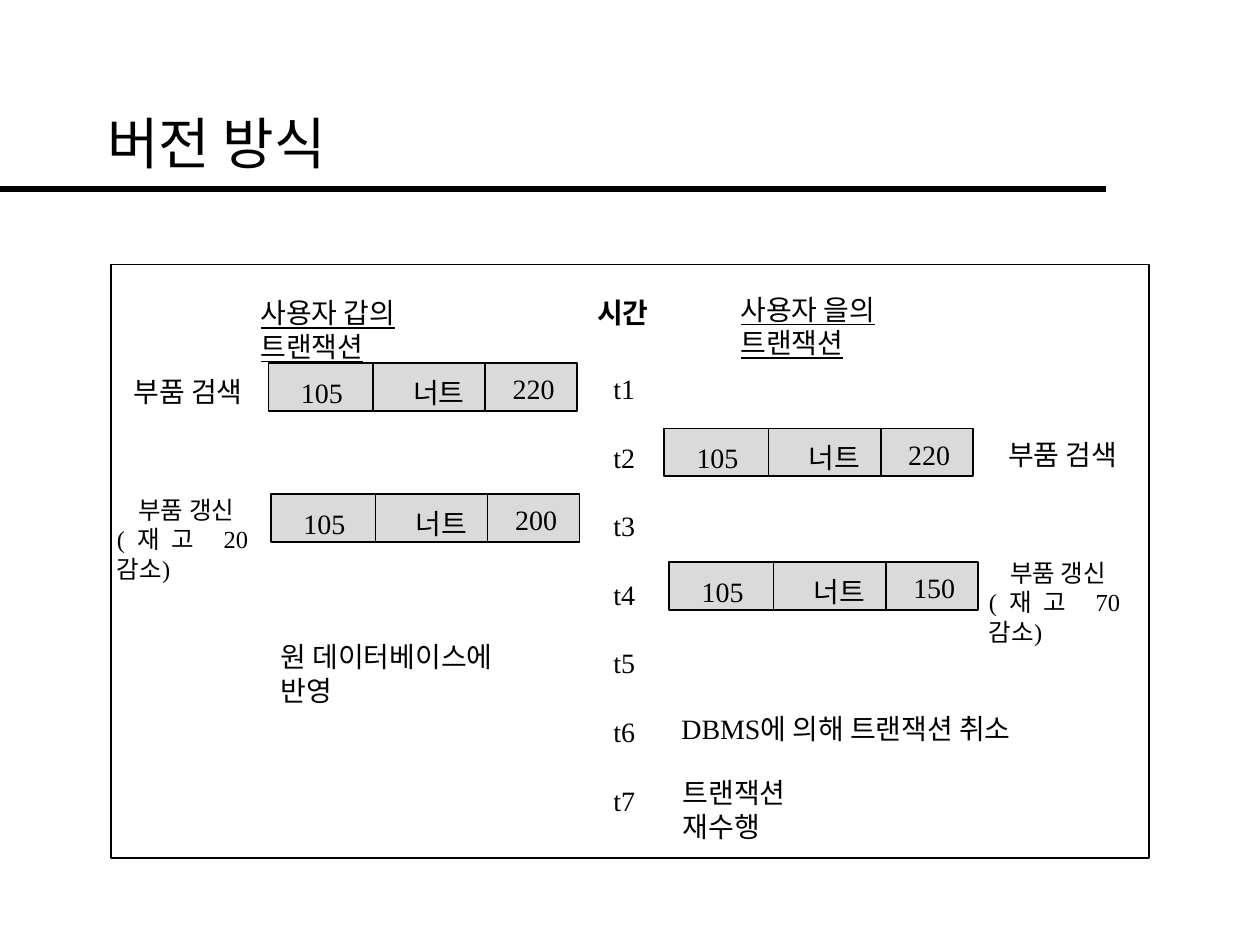
"""Build the slide on version-based concurrency control."""
from dataclasses import dataclass

from lxml.etree import SubElement
from pptx import Presentation
from pptx.dml.color import RGBColor
from pptx.enum.shapes import MSO_CONNECTOR, MSO_SHAPE
from pptx.enum.text import MSO_ANCHOR, MSO_AUTO_SIZE, PP_ALIGN
from pptx.oxml.ns import qn
from pptx.util import Inches, Pt


@dataclass(frozen=True)
class Theme:
    ink: RGBColor = RGBColor(0, 0, 0)
    paper: RGBColor = RGBColor(255, 255, 255)
    record: RGBColor = RGBColor(0xDA, 0xDA, 0xDA)
    latin: str = "Times New Roman"
    hangul: str = "Noto Sans CJK KR"
    title: int = 32
    body: int = 16
    small: int = 14


THEME = Theme()
TITLE = "버전 방식"
FRAME = (0.88, 2.1, 8.24, 4.71)
HEADINGS = [
    ("사용자 갑의 트랜잭션", 1.97, 2.3),
    ("사용자 을의 트랜잭션", 5.78, 2.27),
]
RECORDS = [
    (("105", "너트", "220"), 2.13, 2.88),
    (("105", "너트", "220"), 5.27, 3.4),
    (("105", "너트", "200"), 2.15, 3.92),
    (("105", "너트", "150"), 5.31, 4.46),
]
RECORD_SIZE = (2.45, 0.38)
DIVIDERS = [0.83, 1.72]
FIELDS = [(0.16, 0.05, 0.54), (1.05, 0.05, 0.61), (1.84, 0.02, 0.54)]
SEARCHES = [("부품 검색", 0.86, 2.92), ("부품 검색", 7.8, 3.42)]
UPDATES = [
    (("부품 갱신", "(재고 20 감소)"), 0.83, 3.88),
    (("부품 갱신", "(재고 70 감소)"), 7.75, 4.38),
]
OUTCOMES = [
    ("원 데이터베이스에 반영", 2.13, 5.03, 2.36),
    ("DBMS에 의해 트랜잭션 취소", 5.31, 5.6, 2.89),
    ("트랜잭션 재수행", 5.32, 6.11, 1.69),
]
TIMES = [f"t{step}" for step in range(1, 8)]
LINE_HEIGHT = 0.37


def style(paragraph, size, latin=THEME.latin, bold=False, underline=False):
    """Format every run of a paragraph, in Latin and Hangul."""
    for run in paragraph.runs:
        font = run.font
        font.name, font.size = latin, Pt(size)
        font.bold, font.underline = bold, underline
        font.color.rgb = THEME.ink
        SubElement(font._element, qn("a:ea"), typeface=THEME.hangul)


def add_text(slide, lines, left, top, width, height=LINE_HEIGHT, size=THEME.body,
             wrap=False, inset_left=0.1, inset_right=0.1, gap=0, **font):
    """Add a text box with one paragraph per line and return its paragraphs."""
    box = slide.shapes.add_textbox(*map(Inches, (left, top, width, height)))
    frame = box.text_frame
    frame.word_wrap = wrap
    frame.margin_left, frame.margin_right = Inches(inset_left), Inches(inset_right)
    frame.text = "\n".join(lines)
    for index, paragraph in enumerate(frame.paragraphs):
        paragraph.alignment = PP_ALIGN.LEFT
        if index and gap:
            paragraph.space_before = Pt(gap)
        style(paragraph, size, **font)
    return frame.paragraphs


def add_box(slide, left, top, width, height, fill):
    """Add an outlined rectangle."""
    shape = slide.shapes.add_shape(
        MSO_SHAPE.RECTANGLE, *map(Inches, (left, top, width, height)))
    shape.shadow.inherit = False
    shape.fill.solid()
    shape.fill.fore_color.rgb = fill
    shape.line.color.rgb = THEME.ink
    shape.line.width = Pt(1)


def add_line(slide, x1, y1, x2, y2, weight=1):
    """Add a straight line without a shadow."""
    line = slide.shapes.add_connector(
        MSO_CONNECTOR.STRAIGHT, *map(Inches, (x1, y1, x2, y2)))
    line.line.color.rgb = THEME.ink
    line.line.width = Pt(weight)
    SubElement(line._element.spPr, qn("a:effectLst"))


def add_title(slide):
    """Place and format the title placeholder."""
    title = slide.shapes.title
    title.left, title.top, title.width, title.height = map(
        Inches, (0.75, 0.5, 8.5, 1.25))
    frame = title.text_frame
    frame.text = TITLE
    frame.auto_size = MSO_AUTO_SIZE.NONE
    frame.vertical_anchor = MSO_ANCHOR.MIDDLE
    paragraph = frame.paragraphs[0]
    paragraph.alignment = PP_ALIGN.LEFT
    style(paragraph, THEME.title, latin=THEME.hangul)


def add_record(slide, values, left, top):
    """Draw one part record as a box of three fields."""
    width, height = RECORD_SIZE
    add_box(slide, left, top, width, height, THEME.record)
    for offset in DIVIDERS:
        add_line(slide, left + offset, top, left + offset, top + height)
    for value, (dx, dy, field_width) in zip(values, FIELDS):
        add_text(slide, [value], left + dx, top + dy, field_width)


def add_update(slide, lines, left, top):
    """Write an update label with its justified stock change."""
    heading, change = add_text(slide, lines, left, top, 1.52, 0.8,
                               size=THEME.small, wrap=True, inset_right=0.38)
    heading._p.get_or_add_pPr().set("indent", str(Inches(0.17)))
    change.alignment = PP_ALIGN.JUSTIFY


def main():
    presentation = Presentation()
    presentation.slide_width, presentation.slide_height = Inches(10), Inches(7.5)
    slide = presentation.slides.add_slide(presentation.slide_layouts[5])
    add_line(slide, 0, 1.5, 8.78, 1.5, weight=4)
    add_title(slide)
    add_box(slide, *FRAME, THEME.paper)
    for text, left, top in HEADINGS:
        add_text(slide, [text], left, top, 2.15, wrap=True,
                 inset_right=0.15, underline=True)
    for record in RECORDS:
        add_record(slide, *record)
    add_text(slide, ["시간"], 4.64, 2.3, 0.61, bold=True)
    add_text(slide, TIMES, 4.77, 2.9, 0.37, 3.57, gap=20)
    for text, left, top in SEARCHES:
        add_text(slide, [text], left, top, 1.19, inset_left=0.2, wrap=True)
    for update in UPDATES:
        add_update(slide, *update)
    for text, left, top, width in OUTCOMES:
        add_text(slide, [text], left, top, width, wrap=True, inset_right=0.15)
    presentation.save("out.pptx")


if __name__ == "__main__":
    main()
